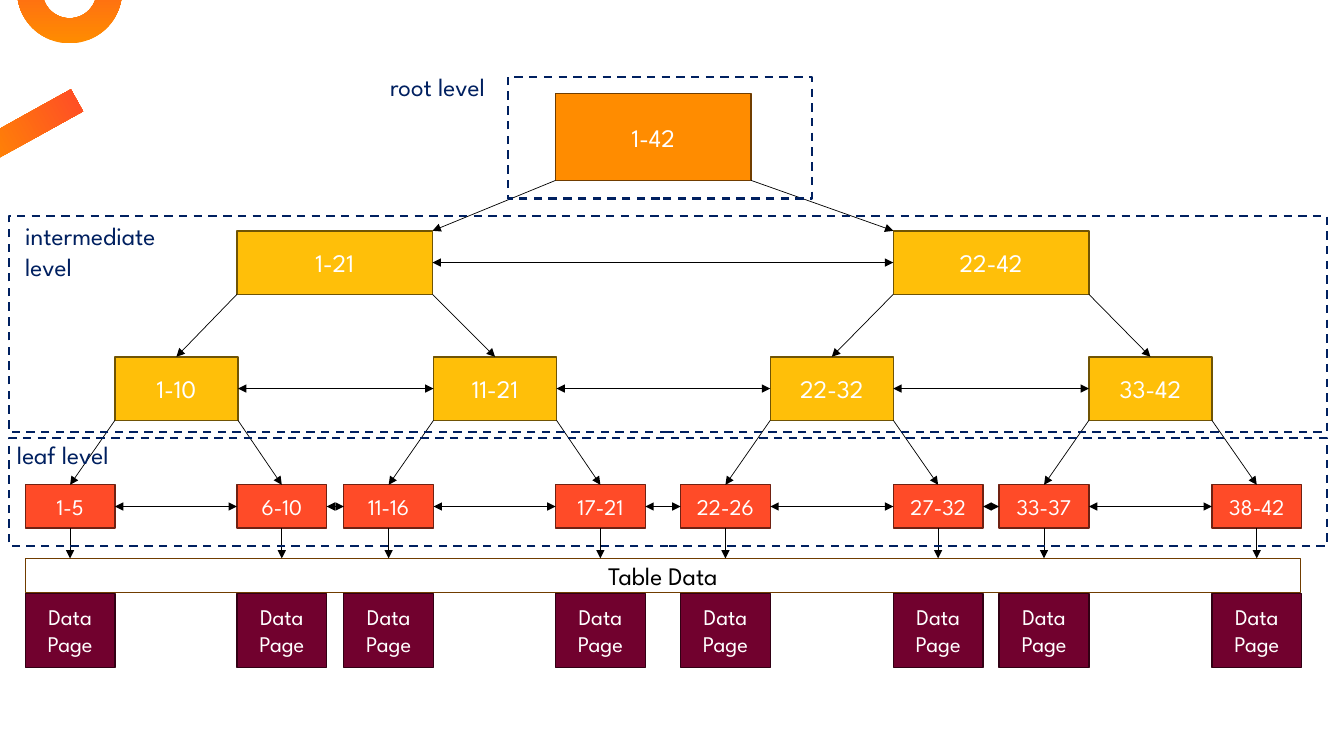
from lxml import etree
from pptx import Presentation
from pptx.dml.color import RGBColor
from pptx.enum.dml import MSO_LINE
from pptx.enum.shapes import MSO_CONNECTOR, MSO_SHAPE
from pptx.enum.text import MSO_ANCHOR, MSO_AUTO_SIZE, PP_ALIGN
from pptx.oxml.ns import qn
from pptx.util import Inches, Pt

RECTANGLE, DONUT = MSO_SHAPE.RECTANGLE, MSO_SHAPE.DONUT
STRAIGHT = MSO_CONNECTOR.STRAIGHT
DASH = MSO_LINE.DASH
CENTER, LEFT = PP_ALIGN.CENTER, PP_ALIGN.LEFT
MIDDLE, TOP = MSO_ANCHOR.MIDDLE, MSO_ANCHOR.TOP
FIT_SHAPE = MSO_AUTO_SIZE.SHAPE_TO_FIT_TEXT
TOP_SIDE, LEFT_SIDE, BOTTOM_SIDE, RIGHT_SIDE = range(4)

ORANGE, YELLOW, RED, PLUM = "FF8C00", "FFBF09", "FF4B28", "71012E"
NAVY, WHITE, BLACK = "002060", "FFFFFF", "000000"

# Each level: top, width, height, fill, outline, text size, [(left, key range)]
LEVELS = [
    (0.93, 1.94, 0.86, ORANGE, "703D00", 18, [(5.51, "1-42")]),
    (2.29, 1.94, 0.63, YELLOW, "705404", 18, [(2.35, "1-21"), (8.86, "22-42")]),
    (3.54, 1.22, 0.63, YELLOW, "705404", 18,
     [(1.14, "1-10"), (4.3, "11-21"), (7.64, "22-32"), (10.8, "33-42")]),
    (4.81, 0.89, 0.43, RED, "702112", 16,
     [(0.25, "1-5"), (2.35, "6-10"), (3.41, "11-16"), (5.51, "17-21"),
      (6.75, "22-26"), (8.86, "27-32"), (9.91, "33-37"), (12.02, "38-42")]),
]
TABLE_TOP = 5.54
FRAMES = [(5.04, 0.76, 3.01, 1.21), (0.09, 2.14, 13.07, 2.15), (0.09, 4.35, 13.07, 1.07)]
LABELS = [("root level", 3.77, 0.66, 1.5, 0.4),
          ("intermediate level", 0.15, 2.14, 1.94, 0.71),
          ("leaf level", 0.07, 4.31, 1.94, 0.4)]


def color(hex_string):
    return RGBColor.from_string(hex_string)


def write_text(shape, text, *, size=18, text_color=WHITE, align=CENTER, anchor=MIDDLE):
    frame = shape.text_frame
    frame.word_wrap = True
    frame.vertical_anchor = anchor
    paragraph = frame.paragraphs[0]
    paragraph.text = text
    paragraph.alignment = align
    paragraph.font.name = SlideBuilder.FONT
    paragraph.font.size = Pt(size)
    paragraph.font.color.rgb = color(text_color)


class SlideBuilder:
    FONT = "League Spartan"

    def __init__(self, slide):
        self.slide = slide

    def shape(self, kind, left, top, width, height):
        shape = self.slide.shapes.add_shape(
            kind, Inches(left), Inches(top), Inches(width), Inches(height))
        shape.shadow.inherit = False
        return shape

    def ornament(self, kind, *bounds):
        shape = self.shape(kind, *bounds)
        shape.line.fill.background()
        shape.fill.gradient()
        shape.fill.gradient_angle = 90
        for stop, stop_color in zip(shape.fill.gradient_stops, (ORANGE, RED)):
            stop.color.rgb = color(stop_color)
        return shape

    def box(self, text, *bounds, fill, outline, **text_format):
        shape = self.shape(RECTANGLE, *bounds)
        shape.fill.solid()
        shape.fill.fore_color.rgb = color(fill)
        shape.line.color.rgb = color(outline)
        shape.line.width = Pt(1)
        write_text(shape, text, **text_format)
        return shape

    def dashed_frame(self, *bounds):
        shape = self.shape(RECTANGLE, *bounds)
        shape.fill.background()
        shape.line.color.rgb = color(NAVY)
        shape.line.width = Pt(1.5)
        shape.line.dash_style = DASH

    def label(self, text, left, top, width, height):
        shape = self.slide.shapes.add_textbox(
            Inches(left), Inches(top), Inches(width), Inches(height))
        write_text(shape, text, text_color=NAVY, align=LEFT, anchor=TOP)
        shape.text_frame.auto_size = FIT_SHAPE

    def arrow(self, start, end, heads=("tailEnd",)):
        """Draw from start to end, each an (x, y) point in EMU."""
        connector = self.slide.shapes.add_connector(STRAIGHT, *start, *end)
        connector.line.color.rgb = color(BLACK)
        connector.line.width = Pt(0.5)
        properties = connector._element.spPr
        line = properties.find(qn("a:ln"))
        for head in heads:
            etree.SubElement(line, qn(f"a:{head}"), type="triangle")
        etree.SubElement(properties, qn("a:effectLst"))
        return connector

    def sibling_link(self, left_node, right_node):
        connector = self.arrow((0, 0), (0, 0), heads=("headEnd", "tailEnd"))
        connector.begin_connect(left_node, RIGHT_SIDE)
        connector.end_connect(right_node, LEFT_SIDE)

    def child_link(self, parent, child, is_right, to_corner):
        """Run from a lower corner of the parent to the top of the child."""
        start = (parent.left + parent.width * is_right, parent.top + parent.height)
        end = (child.left + child.width * (not is_right), child.top)
        connector = self.arrow(start, end)
        if not to_corner:
            connector.end_connect(child, TOP_SIDE)


def main():
    presentation = Presentation()
    presentation.slide_width, presentation.slide_height = Inches(13.33), Inches(7.5)
    builder = SlideBuilder(presentation.slides.add_slide(presentation.slide_layouts[6]))

    # Corner ornaments
    ring = builder.ornament(DONUT, 0.17, -0.61, 1.04, 1.04)
    ring.adjustments[0] = 0.24
    bar = builder.ornament(RECTANGLE, 0.17, 0.72, 0.25, 1.07)
    bar.rotation = 61

    # Index nodes
    tree = [[builder.box(keys, left, top, width, height,
                         fill=fill, outline=outline, size=size)
             for left, keys in nodes]
            for top, width, height, fill, outline, size, nodes in LEVELS]

    # Each parent has two children; the root's arrows end at corners
    for depth, (parents, children) in enumerate(zip(tree, tree[1:])):
        for index, child in enumerate(children):
            builder.child_link(parents[index // 2], child, index % 2, depth == 0)

    # Links between neighbours on a level
    for nodes in tree:
        for left_node, right_node in zip(nodes, nodes[1:]):
            builder.sibling_link(left_node, right_node)

    # Table data and its pages
    builder.box("Table Data", 0.25, TABLE_TOP, 12.65, 0.34,
                fill=WHITE, outline="703D00", text_color=BLACK)
    for left, _ in LEVELS[-1][-1]:
        builder.box("Data Page", left, 5.89, 0.89, 0.73,
                    fill=PLUM, outline="320014", size=16)
    for leaf in tree[-1]:
        center = leaf.left + leaf.width // 2
        connector = builder.arrow((center, leaf.top + leaf.height),
                                  (center, Inches(TABLE_TOP)))
        connector.begin_connect(leaf, BOTTOM_SIDE)

    # Level frames and labels
    for bounds in FRAMES:
        builder.dashed_frame(*bounds)
    for label in LABELS:
        builder.label(*label)

    presentation.save("out.pptx")


if __name__ == "__main__":
    main()
